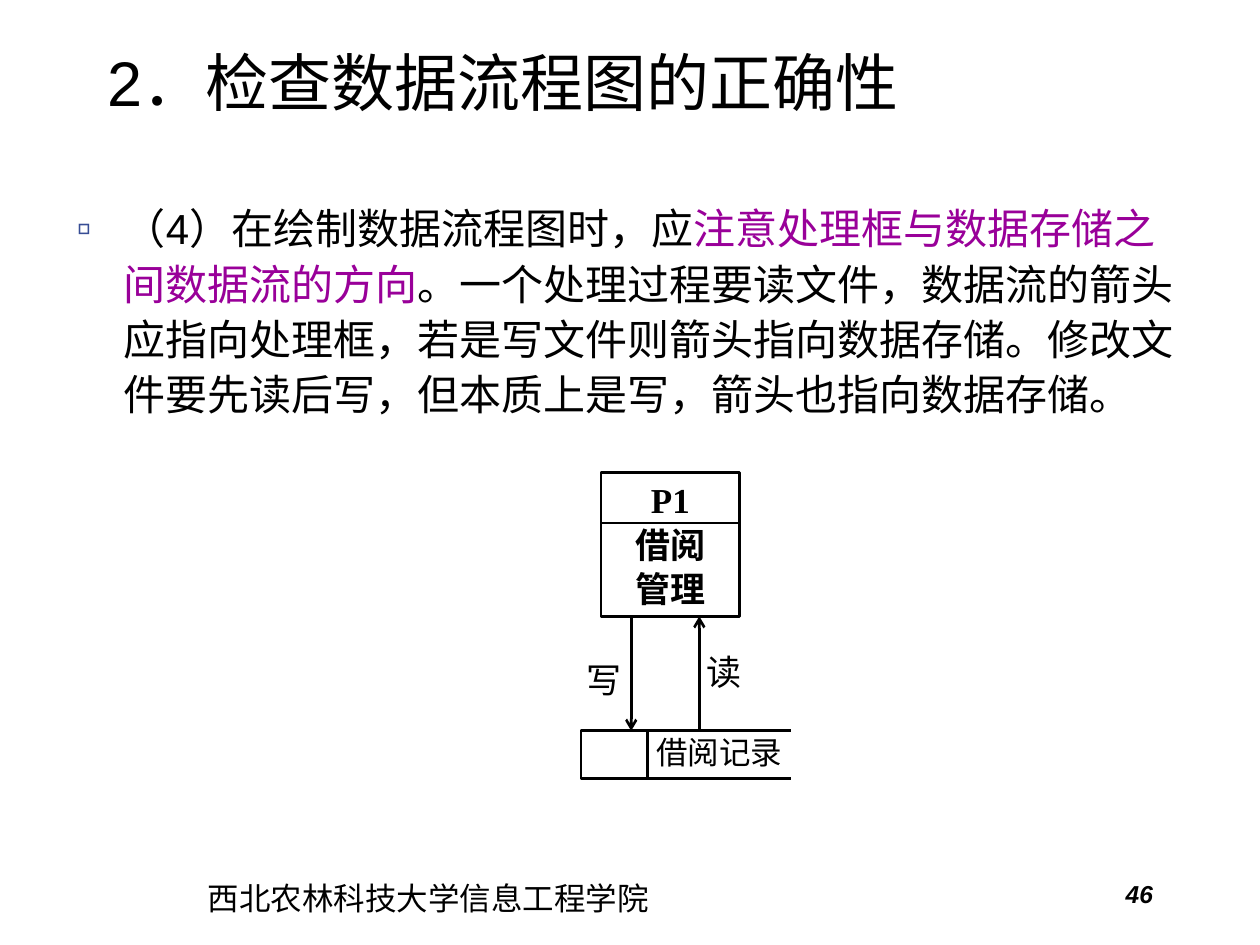
from pptx import Presentation
from pptx.dml.color import RGBColor
from pptx.enum.shapes import MSO_CONNECTOR as Conn, MSO_SHAPE as Shape
from pptx.enum.text import MSO_ANCHOR as Anchor, MSO_AUTO_SIZE as Fit, PP_ALIGN as Align
from pptx.oxml.ns import qn
from pptx.util import Pt
from lxml.etree import SubElement as Sub

BLACK, PURPLE, BLUE = "000000", "990099", "374D95"
SANS, HAN, SERIF = "Arial", "Noto Sans CJK SC", "Times New Roman"


def color(code):
    return RGBColor.from_string(code)


class Deck:
    """Holds the style and the current slide."""
    stroke = 1.5

    def __init__(self, wide, high):
        self.prs = Presentation()
        self.prs.slide_width, self.prs.slide_height = Pt(wide), Pt(high)
        self.slide = self.prs.slides.add_slide(self.prs.slide_layouts[5])
        self.shapes = self.slide.shapes

    def format(self, run, size, font=SANS, ink=BLACK, bold=False, italic=False):
        face = run.font
        face.size, face.name = Pt(size), font
        face.bold, face.italic = bold, italic
        face.color.rgb = color(ink)
        Sub(run.font._element, qn("a:ea")).set("typeface", HAN)

    def frame(self, shape, anchor=Anchor.TOP):
        frame = shape.text_frame
        frame.word_wrap, frame.auto_size = True, Fit.NONE
        frame.vertical_anchor = anchor
        return frame

    def title(self, text, left, top, wide, high):
        box = self.shapes.title
        box.left, box.top, box.width, box.height = map(Pt, (left, top, wide, high))
        frame = self.frame(box, Anchor.MIDDLE)
        frame.text = text
        para = frame.paragraphs[0]
        para.alignment = Align.LEFT
        self.format(para.runs[0], 36)

    def text(self, text, left, top, wide, high, size, align=Align.LEFT, space=1, **look):
        box = self.shapes.add_textbox(*map(Pt, (left, top, wide, high)))
        frame = self.frame(box)
        frame.text = text
        para = frame.paragraphs[0]
        para.alignment, para.line_spacing = align, space
        self.format(para.runs[0], size, **look)

    def bullet(self, parts, left, top, wide, high, size, indent):
        box = self.shapes.add_textbox(*map(Pt, (left, top, wide, high)))
        para = self.frame(box).paragraphs[0]
        para.line_spacing = 1.1
        props = para._p.get_or_add_pPr()
        props.set("marL", str(Pt(indent)))
        props.set("indent", str(-Pt(indent)))
        Sub(Sub(props, qn("a:buClr")), qn("a:srgbClr")).set("val", BLUE)
        Sub(props, qn("a:buFont")).set("typeface", SANS)
        Sub(props, qn("a:buChar")).set("char", "▫")
        for words, ink in parts:
            run = para.add_run()
            run.text = words
            self.format(run, size, ink=ink)

    def box(self, left, top, wide, high):
        box = self.shapes.add_shape(Shape.RECTANGLE, *map(Pt, (left, top, wide, high)))
        box.shadow.inherit = False
        box.fill.background()
        box.line.color.rgb = color(BLACK)
        box.line.width = Pt(self.stroke)
        return box

    def process(self, code, names, left, top, wide, high, size):
        frame = self.frame(self.box(left, top, wide, high))
        frame.text = "\n".join([code, *names])
        for i, para in enumerate(frame.paragraphs):
            para.alignment = Align.CENTER
            if i:
                para.line_spacing, para.space_before = 0.8, Pt(6)
            self.format(para.runs[0], size, HAN if i else SERIF, bold=True)

    def line(self, x1, y1, x2, y2, arrow=False):
        line = self.shapes.add_connector(Conn.STRAIGHT, *map(Pt, (x1, y1, x2, y2)))
        line.line.color.rgb = color(BLACK)
        line.line.width = Pt(self.stroke)
        if arrow:
            Sub(line.line._get_or_add_ln(), qn("a:tailEnd")).set("type", "arrow")
        Sub(line._element.spPr, qn("a:effectLst"))


def main():
    deck = Deck(720, 540)

    # Title and rule
    deck.title("2．检查数据流程图的正确性", 54, 21.6, 630, 49.7)
    deck.bullet([
        ("（4）在绘制数据流程图时，应", BLACK),
        ("注意处理框与数据存储之间数据流的方向", PURPLE),
        ("。一个处理过程要读文件，数据流的箭头应指向处理框，若是写文件则箭头指向数据存储。"
         "修改文件要先读后写，但本质上是写，箭头也指向数据存储。", BLACK),
    ], 36.7, 109.4, 641.5, 143.3, 24, 27)

    # Process box
    left, top, wide, high = 343.5, 270, 79.2, 82.2
    base = top + high
    deck.process("P1", ["借阅", "管理"], left, top, wide, high, 20)
    deck.line(left, 298.8, left + wide, 298.8)

    # Data store, open on the right
    store, cell, deep = 417.6, 38, 27.4
    deck.box(331.9, store, cell, deep)
    for y in (store, store + deep):
        deck.line(331.9 + cell, y, 452.2, y)
    deck.text("借阅记录", 360.7, 415.4, 100.8, 28.8, 18, Align.CENTER, font=HAN)

    # Write and read flows
    deck.line(360.7, base, 360.7, store, arrow=True)
    deck.line(399.6, store, 399.6, base, arrow=True)
    for word, x, y in (("写", 328.3, 367.9), ("读", 396.7, 363.6)):
        deck.text(word, x, y, 32.4, 36, 20, space=1.2, font=HAN)

    # Footer
    deck.text("西北农林科技大学信息工程学院", 111.6, 499, 475.9, 37.4, 18)
    deck.text("46", 498.2, 499, 167.8, 37.4, 14, Align.RIGHT, bold=True, italic=True)

    deck.prs.save("out.pptx")


if __name__ == "__main__":
    main()
